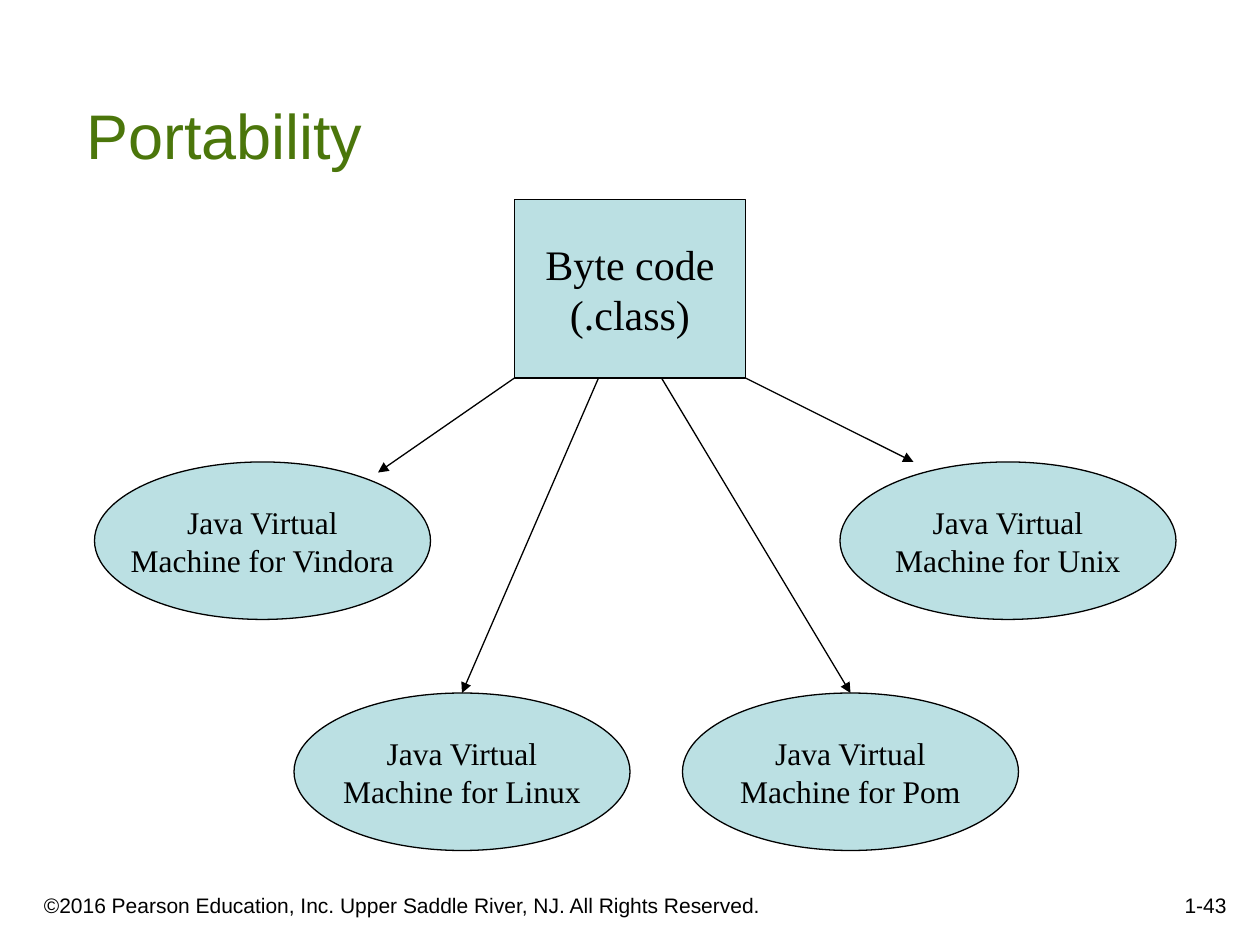
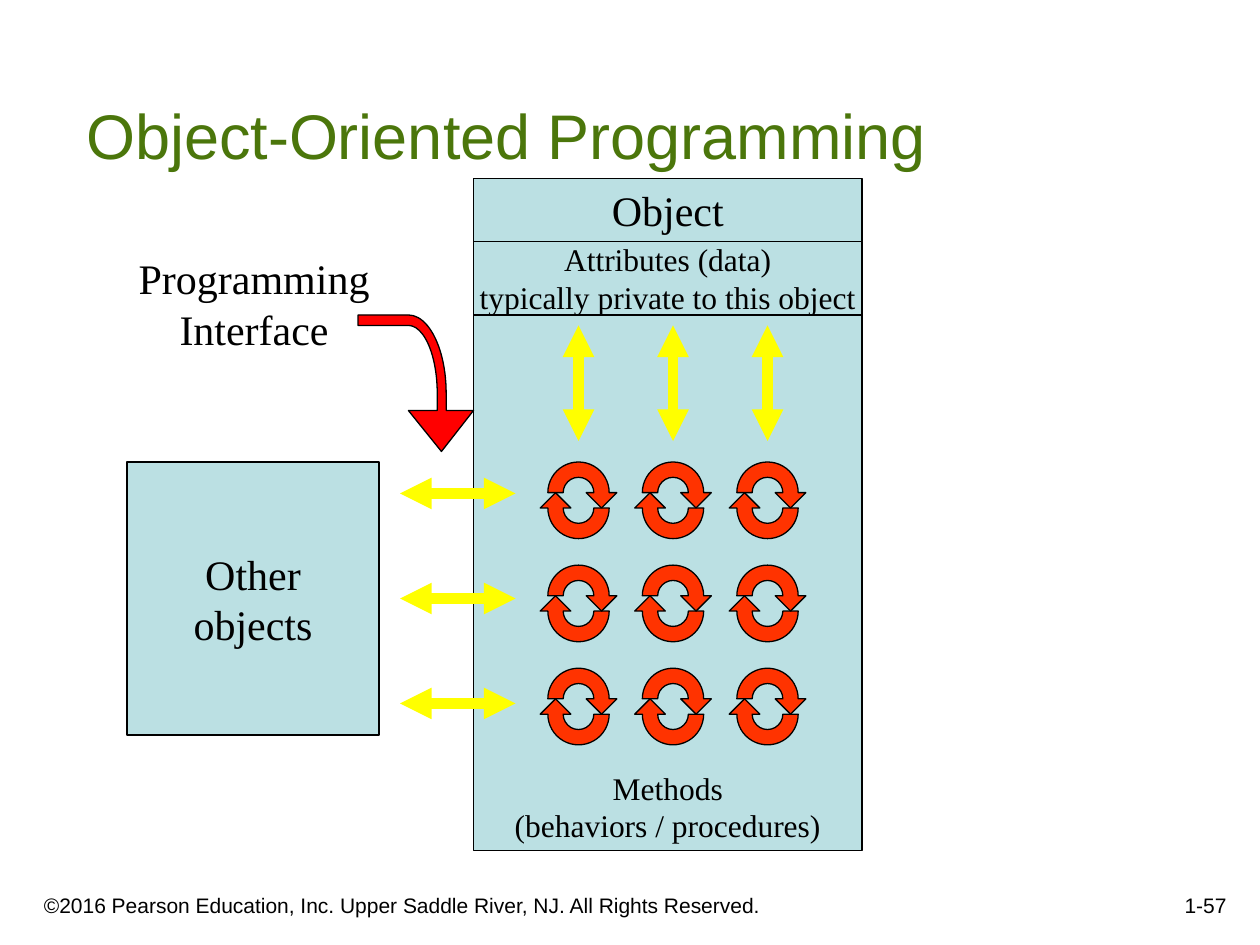
from dataclasses import dataclass

from lxml.etree import SubElement
from pptx import Presentation
from pptx.dml.color import RGBColor
from pptx.enum.shapes import MSO_CONNECTOR as Link, MSO_SHAPE as Form
from pptx.enum.text import MSO_ANCHOR as Anchor, MSO_AUTO_SIZE as Auto, PP_ALIGN as Align
from pptx.oxml.ns import qn
from pptx.util import Inches, Pt

WIDE, HIGH = Inches(10), Inches(7.5)
COLS, ROWS = 120, 90
DEGREE = 60000
BLACK = RGBColor(0, 0, 0)
WHITE = RGBColor(255, 255, 255)
GREEN = RGBColor(0x4B, 0x76, 0x0B)
AQUA = RGBColor(0xBB, 0xE0, 0xE3)
RUST = RGBColor(0xFF, 0x33, 0x00)
RED = RGBColor(0xFF, 0, 0)
YELLOW = RGBColor(0xFF, 0xFF, 0)
SANS, SERIF = "Arial", "Times New Roman"
RIGHTS = "©2016 Pearson Education, Inc. Upper Saddle River, NJ. All Rights Reserved."
Point = tuple[float, float]


@dataclass(frozen=True)
class Box:
    col: float
    row: float
    cols: float
    rows: float


@dataclass(frozen=True)
class Node:
    box: Box
    paras: tuple[str, ...]
    size: int = 18
    form: Form = Form.RECTANGLE
    anchor: Anchor = Anchor.MIDDLE


@dataclass(frozen=True)
class Arrow:
    start: Point
    end: Point
    color: RGBColor = BLACK
    width: float = 0.75
    both: bool = False


@dataclass(frozen=True)
class Step:
    col: float
    row: float
    wide: float = 0
    high: float = 0
    start: int = 0
    sweep: int = 0


def across(col: float) -> int:
    return round(WIDE * col / COLS)


def down(row: float) -> int:
    return round(HIGH * row / ROWS)


def place(box: Box) -> tuple[int, int, int, int]:
    return across(box.col), down(box.row), across(box.cols), down(box.rows)


def write(frame, paras: tuple[str, ...], size: int, font: str, color: RGBColor,
          align: Align, anchor: Anchor, wrap: bool) -> None:
    frame.auto_size = Auto.NONE
    frame.word_wrap = wrap
    frame.vertical_anchor = anchor
    for i, text in enumerate(paras):
        para = frame.paragraphs[0] if i == 0 else frame.add_paragraph()
        para.alignment = align
        for j, line in enumerate(text.split("\n")):
            if j:
                para.add_line_break()
            run = para.add_run()
            run.text = line
            run.font.size = Pt(size)
            run.font.name = font
            run.font.color.rgb = color


def paint(shape, color: RGBColor) -> None:
    shape.shadow.inherit = False
    shape.fill.solid()
    shape.fill.fore_color.rgb = color
    shape.line.color.rgb = BLACK
    shape.line.width = Pt(0.75)


def add_text(slide, box: Box, paras: tuple[str, ...], size: int, font: str,
             align: Align, anchor: Anchor, wrap: bool) -> None:
    shape = slide.shapes.add_textbox(*place(box))
    write(shape.text_frame, paras, size, font, BLACK, align, anchor, wrap)


def add_node(slide, node: Node) -> None:
    shape = slide.shapes.add_shape(node.form, *place(node.box))
    paint(shape, AQUA)
    write(shape.text_frame, node.paras, node.size, SERIF, BLACK,
          Align.CENTER, node.anchor, False)


def add_arrow(slide, arrow: Arrow) -> None:
    (x1, y1), (x2, y2) = arrow.start, arrow.end
    line = slide.shapes.add_connector(
        Link.STRAIGHT, across(x1), down(y1), across(x2), down(y2))
    line.line.color.rgb = arrow.color
    line.line.width = Pt(arrow.width)
    props = line._element.spPr
    for tag in ("a:headEnd", "a:tailEnd") if arrow.both else ("a:tailEnd",):
        SubElement(props.find(qn("a:ln")), qn(tag), type="triangle")
    SubElement(props, qn("a:effectLst"))


def bend(node, step: Step) -> None:
    curve = SubElement(node.getparent(), qn("a:arcTo"),
                       wR=str(across(step.wide)), hR=str(down(step.high)),
                       stAng=str(step.start * DEGREE), swAng=str(step.sweep * DEGREE))
    node.getparent().replace(node, curve)


def add_form(slide, rings: list[list[Step]], color: RGBColor) -> None:
    first = rings[0][0]
    draft = slide.shapes.build_freeform(across(first.col), down(first.row))
    for i, ring in enumerate(rings):
        spots = [(across(step.col), down(step.row)) for step in ring]
        if i:
            draft.move_to(*spots[0])
        draft.add_line_segments(spots[1:], close=True)
    shape = draft.convert_to_shape()
    steps = [step for ring in rings for step in ring[1:]]
    for node, step in zip(list(shape._element.iter(qn("a:lnTo"))), steps):
        if step.sweep:
            bend(node, step)
    paint(shape, color)


def add_cycle(slide, mid: Point) -> None:
    unit = 0.73
    half = [Step(2, -1), Step(0, -3, 2, 2, 0, -90), Step(-2, -1, 2, 2, 270, -90),
            Step(-4, -1), Step(0, -5, 4, 4, 180, 90), Step(4, -1, 4, 4, 270, 90),
            Step(5, -1), Step(3, 1), Step(1, -1)]
    rings = [[Step(mid[0] + sign * unit * s.col, mid[1] + sign * unit * s.row,
                   unit * s.wide, unit * s.high, (s.start + turn) % 360, s.sweep)
              for s in half] for sign, turn in ((1, 0), (-1, 180))]
    add_form(slide, rings, RUST)


def add_hook(slide) -> None:
    ring = [Step(42.05, 43), Step(45.1, 39.1), Step(42.5, 39.1), Step(42.5, 37.45),
            Step(38.9, 30, 3.6, 7.45, 0, -90), Step(34.1, 30), Step(34.1, 31),
            Step(38.9, 31), Step(41.65, 37.45, 2.75, 6.45, 270, 90),
            Step(41.65, 39.1), Step(38.9, 39.1)]
    add_form(slide, [ring], RED)


def start_slide(deck, title: str, page: str):
    slide = deck.slides.add_slide(deck.slide_layouts[5])
    slide.background.fill.solid()
    slide.background.fill.fore_color.rgb = WHITE
    head = slide.shapes.title
    head.left, head.top, head.width, head.height = place(Box(7, 4, 113, 13))
    write(head.text_frame, (title,), 36, SANS, GREEN, Align.LEFT, Anchor.BOTTOM, True)
    add_text(slide, Box(3, 83, 73, 5), (RIGHTS,), 12, SANS, Align.LEFT, Anchor.BOTTOM, True)
    add_text(slide, Box(93, 82, 25, 6), (page,), 12, SANS, Align.RIGHT, Anchor.BOTTOM, True)
    return slide


def draw_ports(deck) -> None:
    slide = start_slide(deck, "Portability", "1-43")
    hosts = (("Vindora", 9, 44), ("Linux", 28, 66), ("Pom", 65, 66), ("Unix", 80, 44))
    add_node(slide, Node(Box(49, 19, 22, 17), ("Byte code\n(.class)",), 24))
    for host, col, row in hosts:
        add_node(slide, Node(Box(col, row, 32, 15),
                             ("Java Virtual", f"Machine for {host}"), form=Form.OVAL))
    ends = ((49, 36, 45), (57, 44, 66), (63, 81, 66), (71, 87, 44))
    for col, goal, row in ends:
        add_arrow(slide, Arrow((col, 36), (goal, row)))


def draw_object(deck) -> None:
    slide = start_slide(deck, "Object-Oriented Programming", "1-57")
    left, width = 45.1, 37
    parts = (
        Node(Box(left, 17, width, 6), ("Object",), 24),
        Node(Box(left, 23, width, 7), ("Attributes (data)\ntypically private to this object",)),
        Node(Box(left, 30, width, 51), ("Methods\n(behaviors / procedures)",),
             anchor=Anchor.BOTTOM),
        Node(Box(12.1, 44, 24, 26), ("Other", "objects"), 24),
    )
    for part in parts:
        add_node(slide, part)
    for i in range(3):
        col, row = 55.1 + 9 * i, 47 + 10 * i
        for j in range(3):
            add_cycle(slide, (col, 47.65 + 9.82 * j))
        add_arrow(slide, Arrow((col, 42), (col, 31), YELLOW, 6, True))
        add_arrow(slide, Arrow((49.1, row), (38.1, row), YELLOW, 6, True))
    add_text(slide, Box(12, 23.5, 24.4, 10.8), ("Programming", "Interface"), 24, SERIF,
             Align.CENTER, Anchor.TOP, False)
    add_hook(slide)


def main() -> None:
    deck = Presentation()
    deck.slide_width, deck.slide_height = WIDE, HIGH
    draw_ports(deck)
    draw_object(deck)
    deck.save("out.pptx")


if __name__ == "__main__":
    main()
